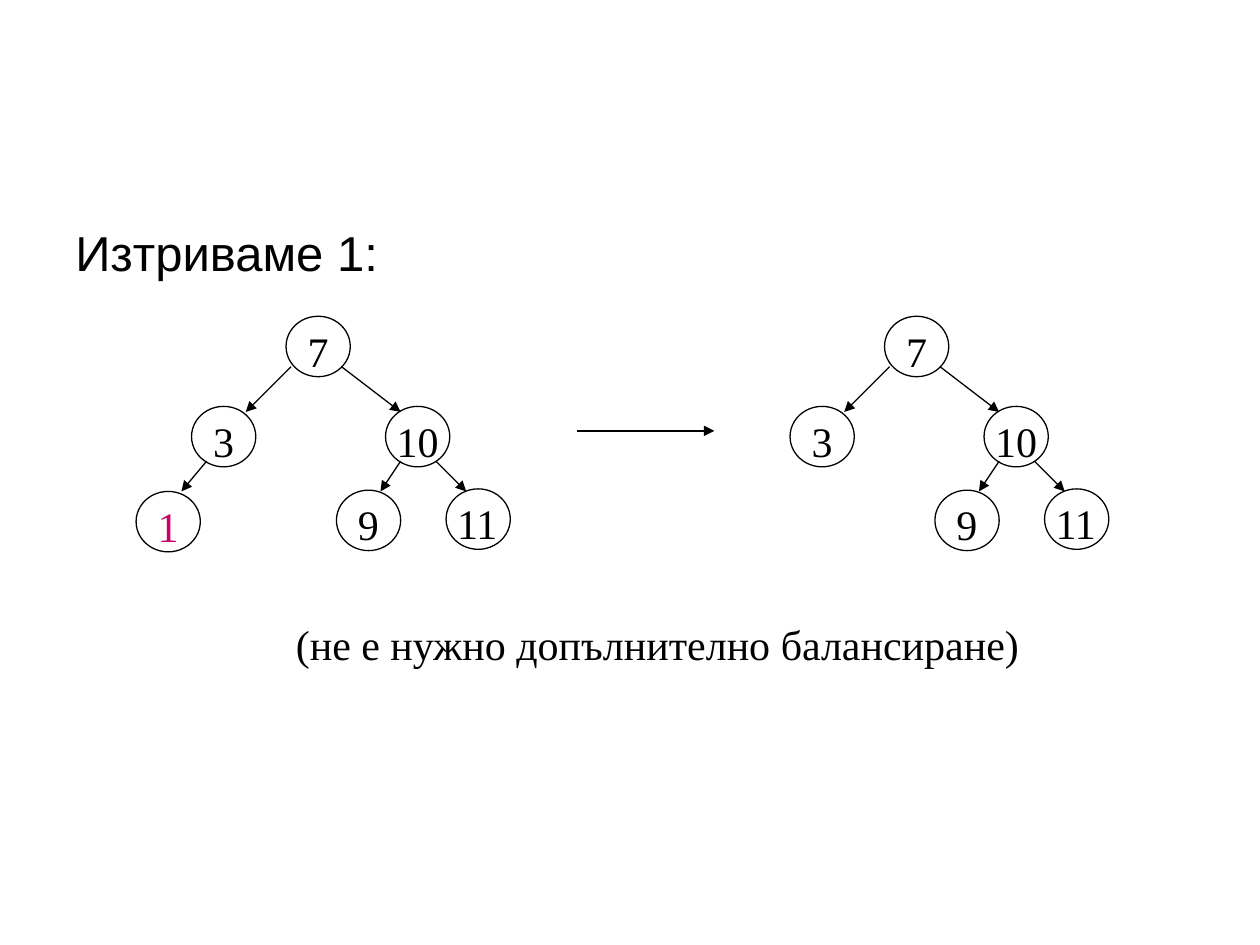
from pptx import Presentation
from pptx.dml.color import RGBColor
from pptx.enum.shapes import MSO_CONNECTOR as Conn, MSO_SHAPE as Shape
from pptx.oxml.ns import qn
from pptx.util import Inches, Pt
from lxml.etree import SubElement

BLACK = RGBColor(0x00, 0x00, 0x00)
WHITE = RGBColor(0xFF, 0xFF, 0xFF)
PINK = RGBColor(0xCC, 0x00, 0x66)

# Grid of 100 columns by 75 rows
CELL = Inches(0.1)
NODE_W, NODE_H = 5.1, 4.8
SHIFT = 47.5  # columns from the first tree to the second


def cells(*nums):
    return [round(n * CELL) for n in nums]


def add_text(shapes, text, box, font="Times New Roman", size=24, color=BLACK):
    frame = shapes.add_textbox(*cells(*box)).text_frame
    frame.word_wrap = True
    frame.margin_top = Inches(0.08)
    run = frame.paragraphs[0].add_run()
    run.text = text
    run.font.name = font
    run.font.size = Pt(size)
    run.font.color.rgb = color


def add_arrow(shapes, x1, y1, x2, y2):
    arrow = shapes.add_connector(Conn.STRAIGHT, *cells(x1, y1, x2, y2))
    arrow.line.color.rgb = BLACK
    arrow.line.width = Pt(0.75)
    SubElement(arrow.line._get_or_add_ln(), qn("a:tailEnd"), type="triangle")
    SubElement(arrow._element.spPr, qn("a:effectLst"))


deck = Presentation()
deck.slide_width, deck.slide_height = cells(100, 75)
slide = deck.slides.add_slide(deck.slide_layouts[6])

# Heading
add_text(slide.shapes, "Изтриваме 1:", (5, 16.9, 90, 5.6), font="Arial", size=28)

# Node centres, and arrows keyed by the child they lead to
nodes = {
    "7": (25.25, 27.5),
    "3": (17.75, 34.65),
    "10": (33.15, 34.65),
    "9": (29.25, 41.3),
    "11": (37.95, 41.2),
    "1": (13.35, 41.4),
}
edges = {
    "3": (23.1, 29.1, 19.5, 32.7),
    "1": (16.4, 36.6, 14.4, 39),
    "10": (27.1, 29.1, 31.8, 32.7),
    "9": (31.8, 36.6, 30.2, 39),
    "11": (34.6, 36.6, 37, 39),
}

# Trees before and after the deletion
for dx, gone in ((0, None), (SHIFT, "1")):
    tree = slide.shapes.add_group_shape().shapes
    kept = {key: (x + dx, y) for key, (x, y) in nodes.items() if key != gone}
    for x, y in kept.values():
        box = cells(x - NODE_W / 2, y - NODE_H / 2, NODE_W, NODE_H)
        node = tree.add_shape(Shape.OVAL, *box)
        node.shadow.inherit = False
        node.fill.solid()
        node.fill.fore_color.rgb = WHITE
        node.line.color.rgb = BLACK
        node.line.width = Pt(0.75)
    for key, (x1, y1, x2, y2) in edges.items():
        if key != gone:
            add_arrow(tree, x1 + dx, y1, x2 + dx, y2)
    for key, (x, y) in kept.items():
        left = x - 1 - 0.83 * len(key)
        box = (left, y - 2.5, 2.2 + 2 * len(key), 5)
        add_text(tree, key, box, color=PINK if key == "1" else BLACK)

# Step arrow and remark
add_arrow(slide.shapes, 45.8, 34.2, 56.7, 34.2)
add_text(slide.shapes, "(не е нужно допълнително балансиране)", (22.5, 48.3, 66.7, 5))

deck.save("out.pptx")
